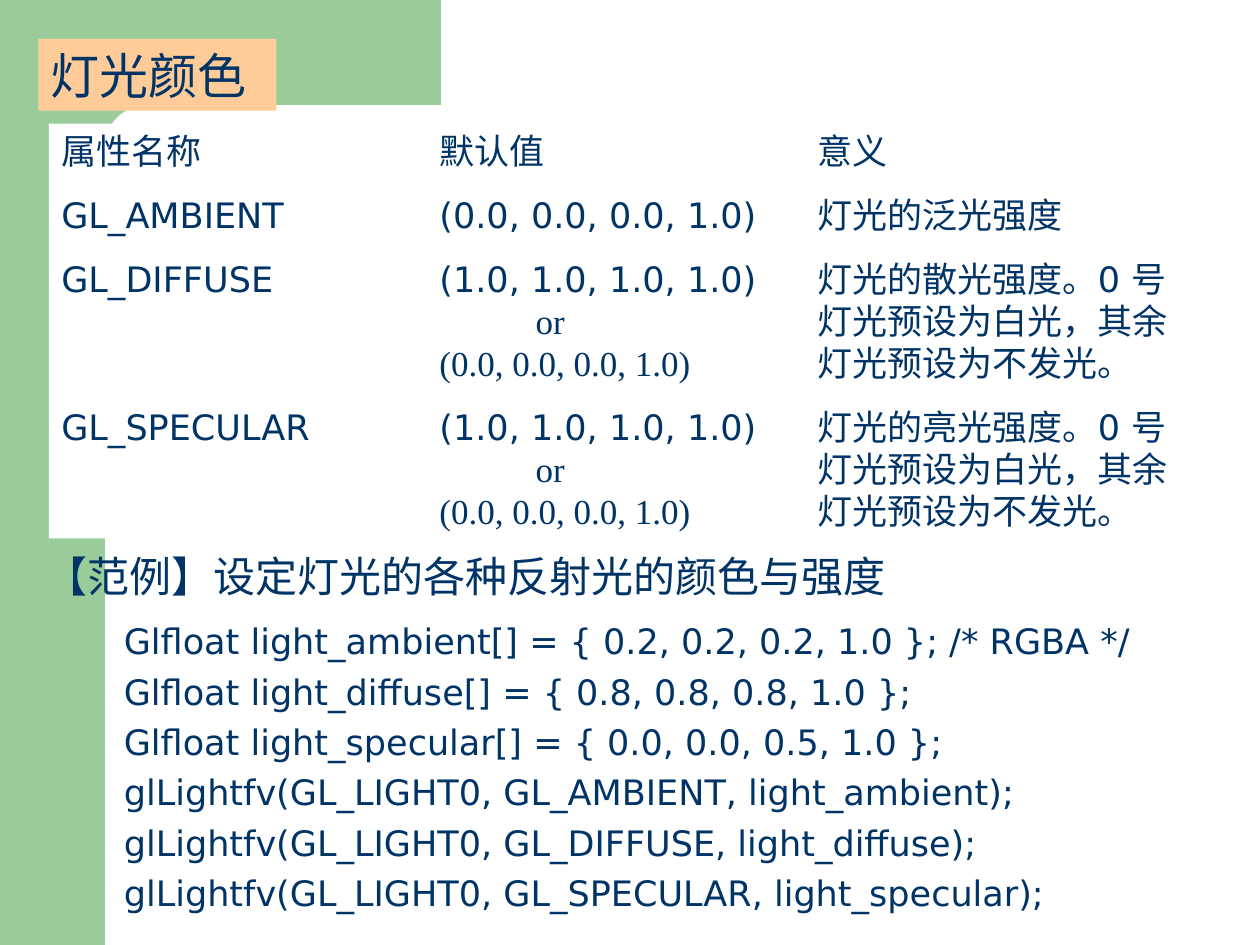
from lxml import etree
from pptx import Presentation
from pptx import util as u
from pptx.dml import color
from pptx.enum import shapes, text
from pptx.oxml import ns

Pt = u.Pt
SERIF, SANS = "Times New Roman", "DejaVu Sans"
INK, GREEN, PEACH, WHITE = "003366", "99CC99", "FFCC99", "FFFFFF"


def paint(fmt, code):
    if hasattr(fmt, "solid"):
        fmt.solid()
        fmt = fmt.fore_color
    fmt.rgb = color.RGBColor.from_string(code)


def block(slide, box, fill, kind="RECTANGLE"):
    shape = slide.shapes.add_shape(
        getattr(shapes.MSO_SHAPE, kind), *map(Pt, box))
    shape.shadow.inherit = False
    shape.line.fill.background()
    paint(shape.fill, fill)
    return shape


def label(slide, box):
    shape = slide.shapes.add_textbox(*map(Pt, box))
    shape.text_frame.word_wrap = True
    return shape


def write(shape, words, size=20, font=SANS, before=0, lead=None, stops=()):
    frame = shape.text_frame
    frame.vertical_anchor = text.MSO_ANCHOR.TOP
    frame.auto_size = text.MSO_AUTO_SIZE.SHAPE_TO_FIT_TEXT
    first = not frame.text
    para = frame.paragraphs[0] if first else frame.add_paragraph()
    if stops:
        tabs = etree.SubElement(para._p.get_or_add_pPr(), ns.qn("a:tabLst"))
        for stop in stops:
            etree.SubElement(tabs, ns.qn("a:tab"), pos=str(Pt(stop)), algn="l")
    para.alignment = text.PP_ALIGN.LEFT
    para.space_before = Pt(0 if first else before)
    if lead:
        para.line_spacing = lead
    run = para.add_run()
    run.text = words
    run.font.size = Pt(size)
    run.font.name = font
    paint(run.font.color, INK)


def frame(slide, box):
    x, y, w, h = box
    block(slide, (x, y, 60, h), GREEN)
    block(slide, (x + 54, y, 198, 84), GREEN)
    curve = block(slide, (x + 60, y + 60, 402, 48), WHITE, "ROUNDED_RECTANGLE")
    curve.adjustments[0] = 0.5


def title(slide, box):
    write(block(slide, box, PEACH), "灯光颜色", size=28, font=SERIF)


def lights(slide, box):
    panel = block(slide, box, WHITE)
    cols = 216, 432
    mid = 271, 432

    def row(*cells, font=SANS, gap=12.5, stops=cols):
        write(panel, "\t".join(cells), font=font, before=gap, stops=stops)

    row("属性名称", "默认值", "意义", font=SERIF)
    row("GL_AMBIENT", "(0.0, 0.0, 0.0, 1.0)", "灯光的泛光强度")
    for name, sense in (("GL_DIFFUSE", "散光"), ("GL_SPECULAR", "亮光")):
        row(name, "(1.0, 1.0, 1.0, 1.0)", f"灯光的{sense}强度。0 号")
        row("", "or", "灯光预设为白光，其余", font=SERIF, gap=0, stops=mid)
        row("", "(0.0, 0.0, 0.0, 1.0)", "灯光预设为不发光。", font=SERIF, gap=0)


def sample(slide, box):
    x, y, w, h = box
    head = label(slide, (x, y, 520, 36))
    write(head, "【范例】设定灯光的各种反射光的颜色与强度", size=24, font=SERIF)
    code = label(slide, (x + 45, y + 34.5, w - 45, h - 34.5))
    for line in (
        "Glfloat light_ambient[] = { 0.2, 0.2, 0.2, 1.0 }; /* RGBA */",
        "Glfloat light_diffuse[] = { 0.8, 0.8, 0.8, 1.0 };",
        "Glfloat light_specular[] = { 0.0, 0.0, 0.5, 1.0 };",
        "glLightfv(GL_LIGHT0, GL_AMBIENT, light_ambient);",
        "glLightfv(GL_LIGHT0, GL_DIFFUSE, light_diffuse);",
        "glLightfv(GL_LIGHT0, GL_SPECULAR, light_specular);",
    ):
        write(code, line, lead=1.2)


def main():
    deck = Presentation()
    deck.slide_width, deck.slide_height = Pt(720), Pt(540)
    slide = deck.slides.add_slide(deck.slide_layouts[6])
    frame(slide, (0, 0, 720, 540))
    title(slide, (22, 22.3, 136, 41))
    lights(slide, (28, 70.6, 662, 237))
    sample(slide, (18.7, 311.3, 675, 214.5))
    deck.save("out.pptx")


if __name__ == "__main__":
    main()
